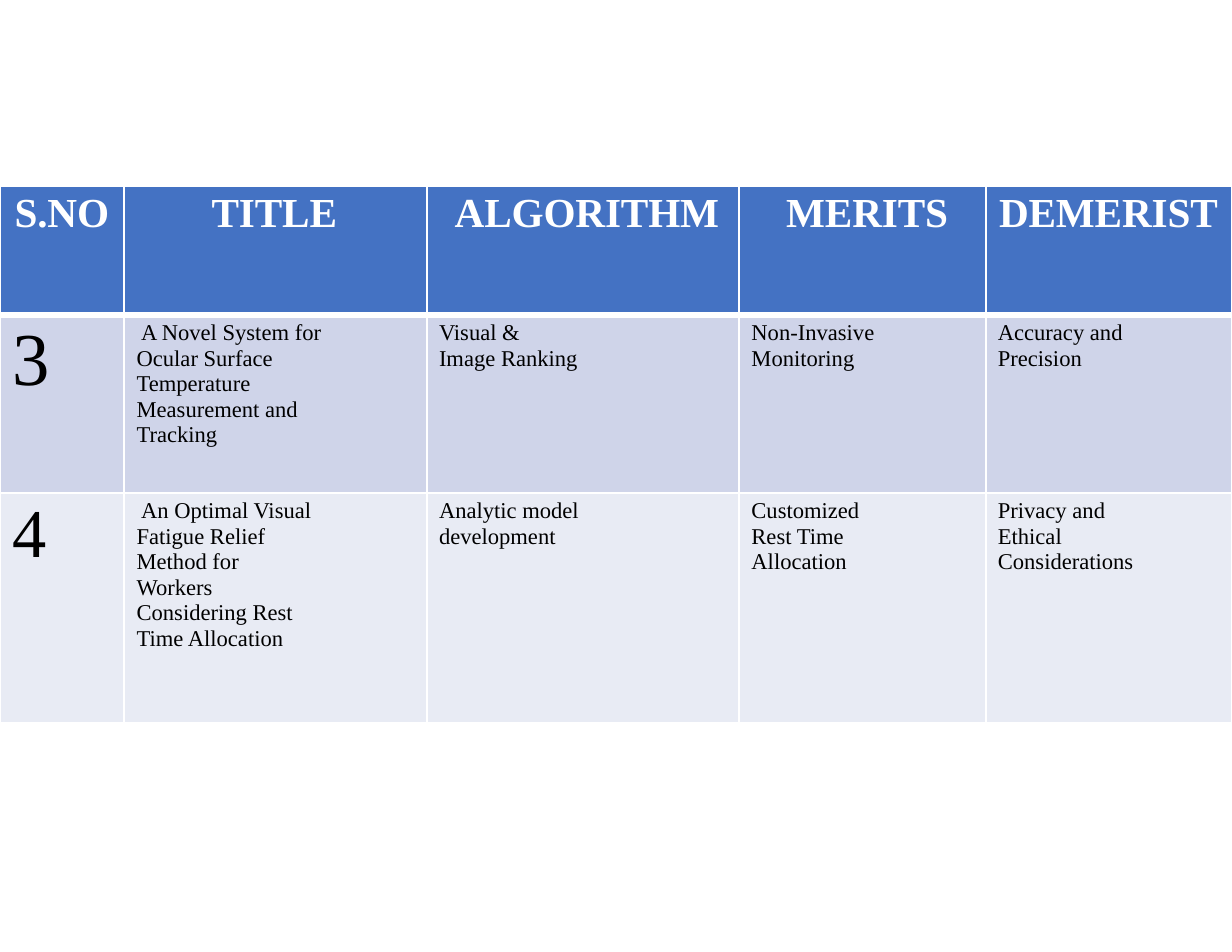
"""Build a literature survey slide with one table."""
from dataclasses import dataclass

from lxml import etree
from pptx import Presentation
from pptx import util as u
from pptx.dml.color import RGBColor
from pptx.oxml.ns import qn
from pptx.table import _Cell

FONT = "Times New Roman"
WHITE, BLACK, BLUE = "FFFFFF", "000000", "4472C3"
COLUMNS = (1.11, 2.7, 2.79, 2.2, 2.2)
ROWS = (1.15, 1.59, 2.06)
TABLE_TOP = 1.66
THIN, THICK = 1.5, 4.5


@dataclass(frozen=True)
class Style:
    """Text settings of one kind of cell."""
    size: float
    color: str = BLACK
    bold: bool = False
    tracking: float = 0
    before: float = 3.2
    line: float = 1.0
    top: float = 0.04


@dataclass(frozen=True)
class Entry:
    """Text of one cell with its left, right and first-line indents."""
    text: str
    style: Style
    left: float = 0.11
    right: float = 0
    first: float = 0


HEADER = Style(26.5, WHITE, True, -0.1, 2.8)
BODY = Style(14.5, line=1.02, top=0.05)
NUMBER_3 = Style(48, tracking=-0.5, before=2.6)
NUMBER_4 = Style(44, tracking=-0.5, before=2.4, top=0.03)

TABLE = (
    (BLUE, (
        Entry("S.NO", HEADER, 0.13),
        Entry("TITLE", HEADER, 0.78),
        Entry("ALGORITHM", HEADER, 0.25),
        Entry("MERITS", HEADER, 0.42),
        Entry("DEMERIST", HEADER, 0.12),
    )),
    ("CFD4E9", (
        Entry("3", NUMBER_3),
        Entry("A Novel System for Ocular Surface Temperature Measurement and Tracking",
              BODY, right=0.69, first=0.04),
        Entry("Visual & Image Ranking", BODY, right=1.41),
        Entry("Non-Invasive Monitoring", BODY, right=0.94),
        Entry("Accuracy and Precision", BODY, right=0.73),
    )),
    ("E8EBF4", (
        Entry("4", NUMBER_4),
        Entry("An Optimal Visual Fatigue Relief Method for Workers Considering Rest Time Allocation",
              BODY, right=0.99, first=0.04),
        Entry("Analytic model development", BODY, right=1.2),
        Entry("Customized Rest Time Allocation", BODY, right=0.94),
        Entry("Privacy and Ethical Considerations", BODY, right=0.73),
    )),
)


def color(value: str) -> RGBColor:
    """Turn a hex string into a colour."""
    return RGBColor.from_string(value)


def draw_borders(cell: _Cell, top: float, bottom: float) -> None:
    """Give a cell white borders, with widths in points."""
    properties = cell._tc.get_or_add_tcPr()
    for side, width in (("L", THIN), ("R", THIN), ("T", top), ("B", bottom)):
        line = etree.SubElement(properties, qn(f"a:ln{side}"), w=str(u.Pt(width)))
        fill = etree.SubElement(line, qn("a:solidFill"))
        etree.SubElement(fill, qn("a:srgbClr"), val=WHITE)


def write_cell(cell: _Cell, entry: Entry) -> None:
    """Write and format the text of a cell."""
    style = entry.style
    cell.margin_left = cell.margin_bottom = 0
    cell.margin_top = u.Inches(style.top)
    cell.margin_right = u.Inches(entry.right)
    paragraph = cell.text_frame.paragraphs[0]
    run = paragraph.add_run()
    run.text = entry.text
    paragraph.space_before = u.Pt(style.before)
    paragraph.line_spacing = style.line
    properties = paragraph._p.get_or_add_pPr()
    properties.set("marL", str(u.Inches(entry.left)))
    properties.set("indent", str(u.Inches(entry.first)))
    font = paragraph.font
    font.name, font.size, font.bold = FONT, u.Pt(style.size), style.bold
    font.color.rgb = color(style.color)
    if style.tracking:
        run._r.get_or_add_rPr().set("spc", str(round(style.tracking * 100)))


def main() -> None:
    """Create the presentation and save it."""
    presentation = Presentation()
    presentation.slide_width, presentation.slide_height = u.Inches(11), u.Inches(8.5)
    slide = presentation.slides.add_slide(presentation.slide_layouts[6])
    table = slide.shapes.add_table(
        len(ROWS), len(COLUMNS), 0, u.Inches(TABLE_TOP),
        u.Inches(sum(COLUMNS)), u.Inches(sum(ROWS))).table
    for column, width in zip(table.columns, COLUMNS):
        column.width = u.Inches(width)
    for index, (row, height, (fill, entries)) in enumerate(zip(table.rows, ROWS, TABLE)):
        row.height = u.Inches(height)
        for cell, entry in zip(row.cells, entries):
            draw_borders(cell, THICK if index == 1 else THIN, THICK if index == 0 else THIN)
            cell.fill.solid()
            cell.fill.fore_color.rgb = color(fill)
            write_cell(cell, entry)
    presentation.save("out.pptx")


if __name__ == "__main__":
    main()
